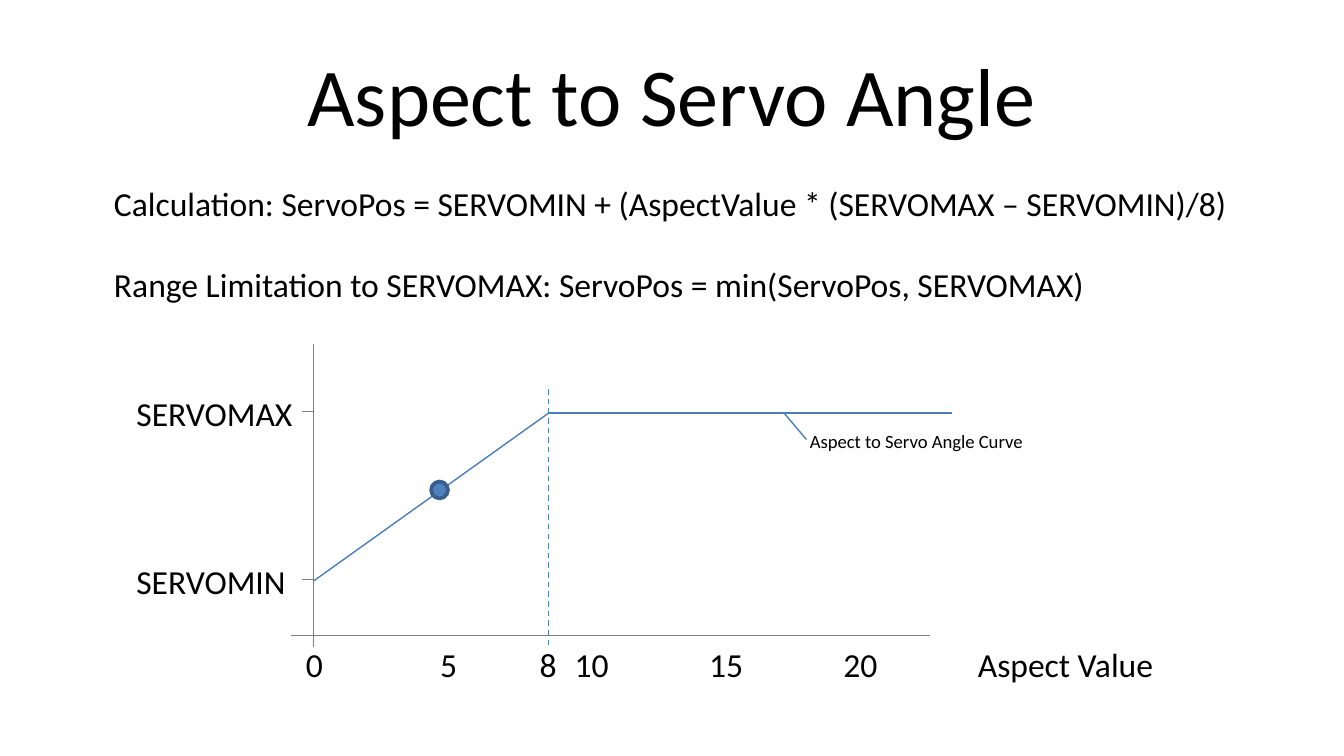
from dataclasses import dataclass

from lxml import etree
from pptx import Presentation
from pptx import util as u
from pptx.dml.color import RGBColor
from pptx.enum import dml, shapes, text
from pptx.oxml.ns import qn

PX = 9525


@dataclass(frozen=True)
class Theme:
    """Colours, font and type sizes of the slide."""
    font: str = "Calibri"
    ink: str = "000000"
    axis: str = "7F7F7F"
    curve: str = "4B7EBC"
    dot: str = "4F81BD"
    ring: str = "3A5F8C"
    title: int = 44
    body: int = 18
    small: int = 10
    hair: float = 0.75
    thick: int = 2


T = Theme()


def px(*vals):
    """Turn px lengths into EMU."""
    return [u.Emu(v * PX) for v in vals]


def words(slide, box, lines, size=T.body, wrap=False, gap=0):
    """Place lines of text in a box and return its frame."""
    frame = slide.shapes.add_textbox(*px(*box)).text_frame
    frame.word_wrap = wrap
    frame.auto_size = (text.MSO_AUTO_SIZE.NONE if wrap
                       else text.MSO_AUTO_SIZE.SHAPE_TO_FIT_TEXT)
    for i, line in enumerate(lines):
        para = frame.add_paragraph() if i else frame.paragraphs[0]
        if i:
            para.space_before = u.Pt(gap)
        run = para.add_run()
        run.text = line
        run.font.name = T.font
        run.font.size = u.Pt(size)
        run.font.color.rgb = RGBColor.from_string(T.ink)
    return frame


def tabs(para, step, count):
    """Set evenly spaced left tab stops on a paragraph."""
    stops = etree.SubElement(para._p.get_or_add_pPr(), qn("a:tabLst"))
    for i in range(1, count + 1):
        etree.SubElement(stops, qn("a:tab"), pos=str(i * step * PX), algn="l")


def rule(slide, start, end, color):
    """Draw a thin straight line and return it."""
    line = slide.shapes.add_connector(
        shapes.MSO_CONNECTOR.STRAIGHT, *px(*start, *end))
    line.line.color.rgb = RGBColor.from_string(color)
    line.line.width = u.Pt(T.hair)
    etree.SubElement(line._element.spPr, qn("a:effectLst"))
    return line


def head(slide, box):
    """Place the centred title."""
    frame = words(slide, box, ["Aspect to Servo Angle"], T.title, wrap=True)
    frame.vertical_anchor = text.MSO_ANCHOR.MIDDLE
    frame.paragraphs[0].alignment = text.PP_ALIGN.CENTER


def rules(slide, box):
    """Place the two formulas."""
    words(slide, box, [
        "Calculation: ServoPos = SERVOMIN + "
        "(AspectValue * (SERVOMAX – SERVOMIN)/8)",
        "Range Limitation to SERVOMAX: ServoPos = min(ServoPos, SERVOMAX)",
    ], gap=22)


def graph(slide, box):
    """Draw the axes, their labels and the servo curve."""
    left, top, wide, high = box

    def at(x, y):
        return left + x, top + y

    zero, knee, low, peak, base, foot = 136, 304, 168, 48, 208, 216
    rule(slide, at(zero, 0), at(zero, foot), T.axis)
    rule(slide, at(120, base), at(576, base), T.axis)
    scale = words(slide, (*at(121, base + 1), wide - 121, high - base - 1),
                  ["0\t5\t10\t15\t20\tAspect Value"])
    tabs(scale.paragraphs[0], 96, 5)

    for name, y, span in (("SERVOMIN", low, 127), ("SERVOMAX", peak, 132)):
        rule(slide, at(zero - 8, y), at(zero, y), T.axis)
        words(slide, (*at(0, y - 18), span, 38), [name])

    curve = [at(zero, low + 1), at(knee, peak + 1), at(592, peak + 1)]
    for start, end in zip(curve, curve[1:]):
        rule(slide, start, end, T.curve)

    dot = slide.shapes.add_shape(
        shapes.MSO_SHAPE.OVAL, *px(*at(220, 98), 12, 12))
    dot.shadow.inherit = False
    dot.fill.solid()
    dot.fill.fore_color.rgb = RGBColor.from_string(T.dot)
    dot.line.color.rgb = RGBColor.from_string(T.ring)
    dot.line.width = u.Pt(T.thick)

    limit = rule(slide, at(knee, 32), at(knee, foot), T.curve)
    limit.line.dash_style = dml.MSO_LINE.DASH
    rule(slide, at(472, peak + 1), at(488, 68), T.curve)
    words(slide, (*at(481, 56), 174, 26),
          ["Aspect to Servo Angle Curve"], T.small)
    words(slide, (*at(knee - 16, base + 1), 32, 38), ["8"])


def main():
    """Build and save the slide."""
    deck = Presentation()
    deck.slide_width, deck.slide_height = px(960, 540)
    slide = deck.slides.add_slide(deck.slide_layouts[6])
    head(slide, (48, 22, 864, 90))
    rules(slide, (72, 126, 824, 97))
    graph(slide, (88, 246, 752, 247))
    deck.save("out.pptx")


if __name__ == "__main__":
    main()
